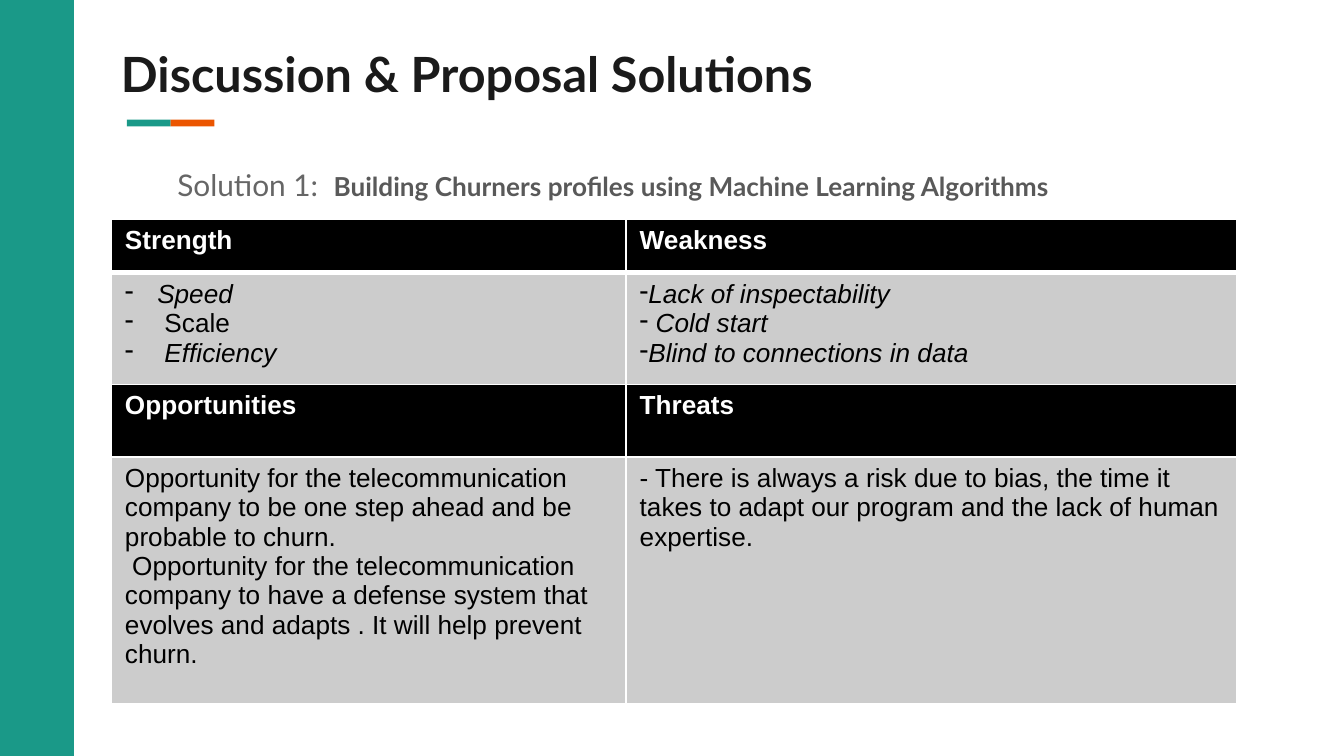
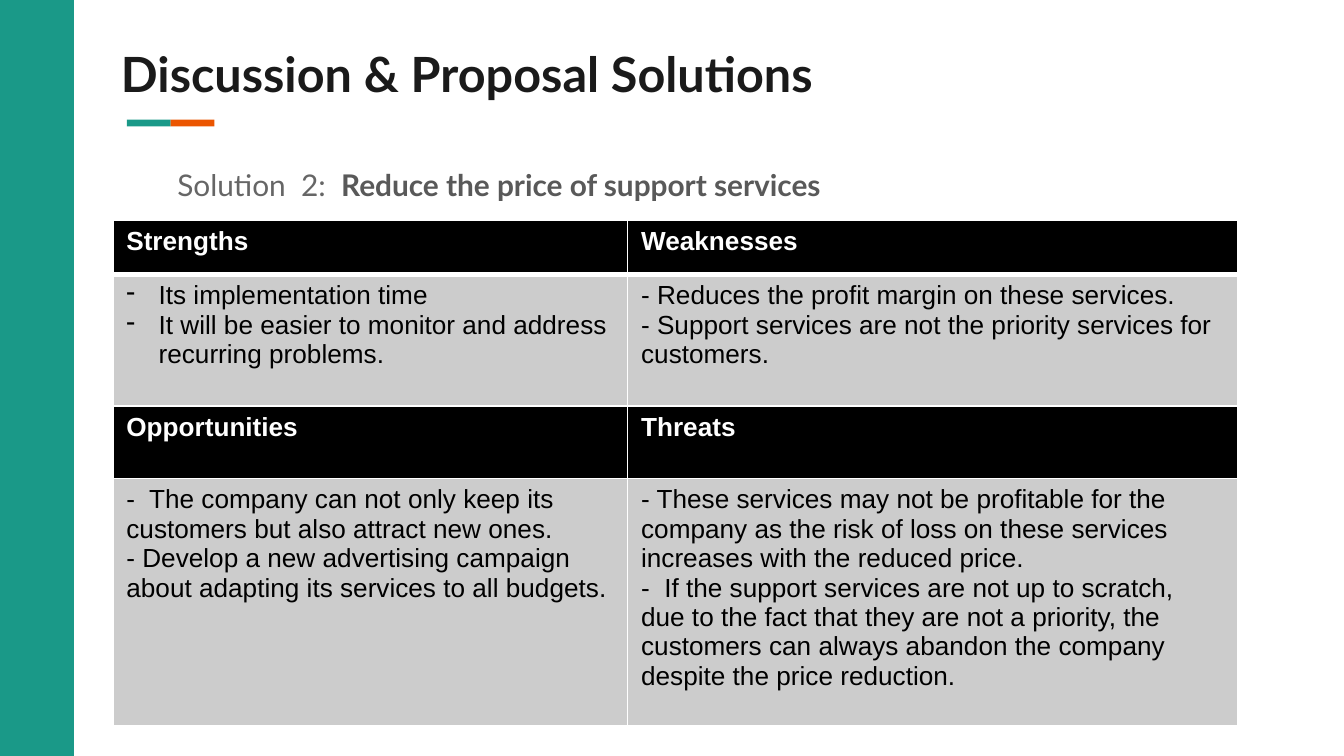
import dataclasses

import lxml.etree
import pptx
import pptx.dml.color
import pptx.enum.shapes
import pptx.enum.text
import pptx.oxml.ns
import pptx.util

TITLE = "Discussion & Proposal Solutions"
HANG, FLUSH = 0.24, 0  # indent in inches of the text after a dash bullet

# A body paragraph is a plain string or (text, dash indent, italic).
SLIDES = [
    {
        "lead": "Solution 1:  ",
        "topic": "Building Churners profiles using Machine Learning Algorithms",
        "topic_size": 14,
        "origin": (0.83, 1.63),
        "rows": [0.4, 0.83, 0.54, 1.84],
        "cells": [
            ["Strength", "Weakness"],
            [
                [("Speed", HANG, True), (" Scale", HANG, False), (" Efficiency", HANG, True)],
                [
                    ("Lack of inspectability", FLUSH, True),
                    (" Cold start", FLUSH, True),
                    ("Blind to connections in data", FLUSH, True),
                ],
            ],
            ["Opportunities", "Threats"],
            [
                [
                    "Opportunity for the telecommunication company to be one step ahead "
                    "and be probable to churn.",
                    " Opportunity for the telecommunication company to have a defense "
                    "system that evolves and adapts . It will help prevent churn.",
                ],
                [
                    "- There is always a risk due to bias, the time it takes to adapt our "
                    "program and the lack of human expertise.",
                ],
            ],
        ],
    },
    {
        "lead": "Solution  2:  ",
        "topic": "Reduce the price of support services",
        "topic_size": 16,
        "origin": (0.84, 1.64),
        "rows": [0.4, 0.98, 0.54, 1.84],
        "cells": [
            ["Strengths", "Weaknesses"],
            [
                [
                    ("Its implementation time", HANG, False),
                    ("It will be easier to monitor and address recurring problems.", HANG, False),
                ],
                [
                    "- Reduces the profit margin on these services.",
                    "- Support services are not the priority services for customers.",
                ],
            ],
            ["Opportunities", "Threats"],
            [
                [
                    "-  The company can not only keep its customers but also attract new ones.",
                    "- Develop a new advertising campaign about adapting its services to "
                    "all budgets.",
                ],
                [
                    "- These services may not be profitable for the company as the risk of "
                    "loss on these services increases with the reduced price.",
                    "-  If the support services are not up to scratch, due to the fact that "
                    "they are not a priority, the customers can always abandon the company "
                    "despite the price reduction.",
                ],
            ],
        ],
    },
]


@dataclasses.dataclass(frozen=True)
class Theme:
    teal: str = "1A9988"
    orange: str = "EB5500"
    title: str = "1A1A1A"
    lead: str = "666666"
    topic: str = "595959"
    white: str = "FFFFFF"
    black: str = "000000"
    grey: str = "CCCCCC"
    heading_font: str = "Lato"
    table_font: str = "Arial"
    title_size: int = 26
    lead_size: int = 16
    table_size: int = 14


THEME = Theme()
SLIDE_W, SLIDE_H = 10, 5.625
BAND_W = 0.55
ACCENT_X, ACCENT_Y, ACCENT_W, ACCENT_H = 0.945, 0.89, 0.325, 0.05
COLUMNS = [3.83, 4.54]
RULE, HEADER_RULE = 1, 3

inches = pptx.util.Inches
rgb = pptx.dml.color.RGBColor.from_string


def add_run(p, text, font, size, color, bold=False, italic=False):
    r = p.add_run()
    r.text = text
    r.font.name, r.font.size = font, pptx.util.Pt(size)
    r.font.bold, r.font.italic = bold, italic
    r.font.color.rgb = rgb(color)


def add_child(parent, tag, **attrs):
    return lxml.etree.SubElement(parent, pptx.oxml.ns.qn(tag), attrs)


def set_indent(p, left, first):
    pPr = p._p.get_or_add_pPr()
    pPr.set("marL", str(inches(left)))
    pPr.set("indent", str(inches(first)))
    return pPr


def add_dash(p, indent):
    pPr = set_indent(p, indent, -indent)
    add_child(add_child(pPr, "a:buClr"), "a:srgbClr", val=THEME.black)
    add_child(pPr, "a:buChar", char="-")


def add_bar(slide, x, y, w, h, color):
    sp = slide.shapes.add_shape(
        pptx.enum.shapes.MSO_SHAPE.RECTANGLE, *map(inches, (x, y, w, h)))
    sp.shadow.inherit = False
    sp.fill.solid()
    sp.fill.fore_color.rgb = rgb(color)
    sp.line.fill.background()


def clear_frame(tf):
    """Remove the insets, wrap the lines and start the text at the top."""
    tf.margin_left = tf.margin_right = tf.margin_top = tf.margin_bottom = 0
    tf.word_wrap = True
    tf.auto_size = pptx.enum.text.MSO_AUTO_SIZE.NONE
    tf.vertical_anchor = pptx.enum.text.MSO_ANCHOR.TOP
    p = tf.paragraphs[0]
    p.alignment = pptx.enum.text.PP_ALIGN.LEFT
    return p


def add_frame(slide):
    add_bar(slide, 0, 0, BAND_W, SLIDE_H, THEME.teal)
    for i, color in enumerate((THEME.teal, THEME.orange)):
        add_bar(slide, ACCENT_X + i * ACCENT_W, ACCENT_Y, ACCENT_W, ACCENT_H, color)
    sp = slide.shapes.title
    sp.left, sp.top, sp.width, sp.height = map(inches, (0.9, 0.33, 8.2, 0.44))
    add_run(clear_frame(sp.text_frame), TITLE, THEME.heading_font,
            THEME.title_size, THEME.title, bold=True)


def add_subtitle(slide, lead, topic, topic_size):
    sp = slide.shapes.add_textbox(*map(inches, (1.07, 1.24, 7.91, 0.38)))
    p = clear_frame(sp.text_frame)
    set_indent(p, 0.5, -0.25)
    add_run(p, lead, THEME.heading_font, THEME.lead_size, THEME.lead)
    add_run(p, topic, THEME.heading_font, topic_size, THEME.topic, bold=True)


def style_cell(cell, fill, top, bottom):
    """Draw the white cell borders, which come before the fill in the XML."""
    tcPr = cell._tc.get_or_add_tcPr()
    for side, width in zip("LRTB", (RULE, RULE, top, bottom)):
        ln = add_child(tcPr, f"a:ln{side}", w=str(pptx.util.Pt(width)))
        add_child(add_child(ln, "a:solidFill"), "a:srgbClr", val=THEME.white)
    cell.fill.solid()
    cell.fill.fore_color.rgb = rgb(fill)


def fill_cell(cell, content):
    tf = cell.text_frame
    if isinstance(content, str):
        add_run(tf.paragraphs[0], content, THEME.table_font, THEME.table_size,
                THEME.white, bold=True)
        return
    for i, item in enumerate(content):
        p = tf.add_paragraph() if i else tf.paragraphs[0]
        text, dash, italic = (item, None, False) if isinstance(item, str) else item
        if dash is not None:
            add_dash(p, dash)
        add_run(p, text, THEME.table_font, THEME.table_size, THEME.black, italic=italic)


def add_swot_table(slide, origin, rows, cells):
    size = sum(COLUMNS), sum(rows)
    table = slide.shapes.add_table(
        len(rows), len(COLUMNS), *map(inches, origin + size)).table
    table.first_row = table.horz_banding = False
    for column, width in zip(table.columns, COLUMNS):
        column.width = inches(width)
    for r, (height, contents) in enumerate(zip(rows, cells)):
        table.rows[r].height = inches(height)
        top = HEADER_RULE if r == 1 else RULE
        bottom = HEADER_RULE if r == 0 else RULE
        for c, content in enumerate(contents):
            fill = THEME.black if isinstance(content, str) else THEME.grey
            style_cell(table.cell(r, c), fill, top, bottom)
            fill_cell(table.cell(r, c), content)


def main():
    prs = pptx.Presentation()
    prs.slide_width, prs.slide_height = inches(SLIDE_W), inches(SLIDE_H)
    title_only = prs.slide_layouts[5]
    for data in SLIDES:
        slide = prs.slides.add_slide(title_only)
        add_frame(slide)
        add_subtitle(slide, data["lead"], data["topic"], data["topic_size"])
        add_swot_table(slide, data["origin"], data["rows"], data["cells"])
    prs.save("out.pptx")


if __name__ == "__main__":
    main()
